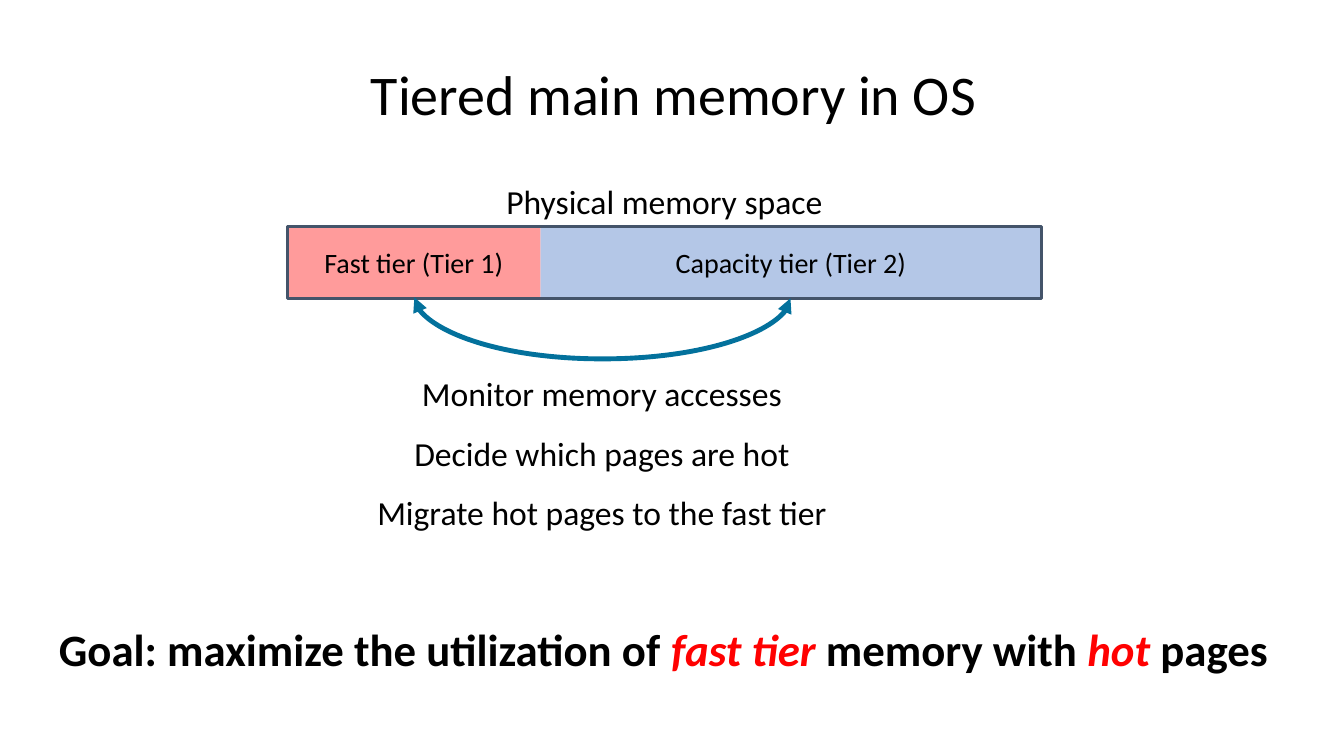
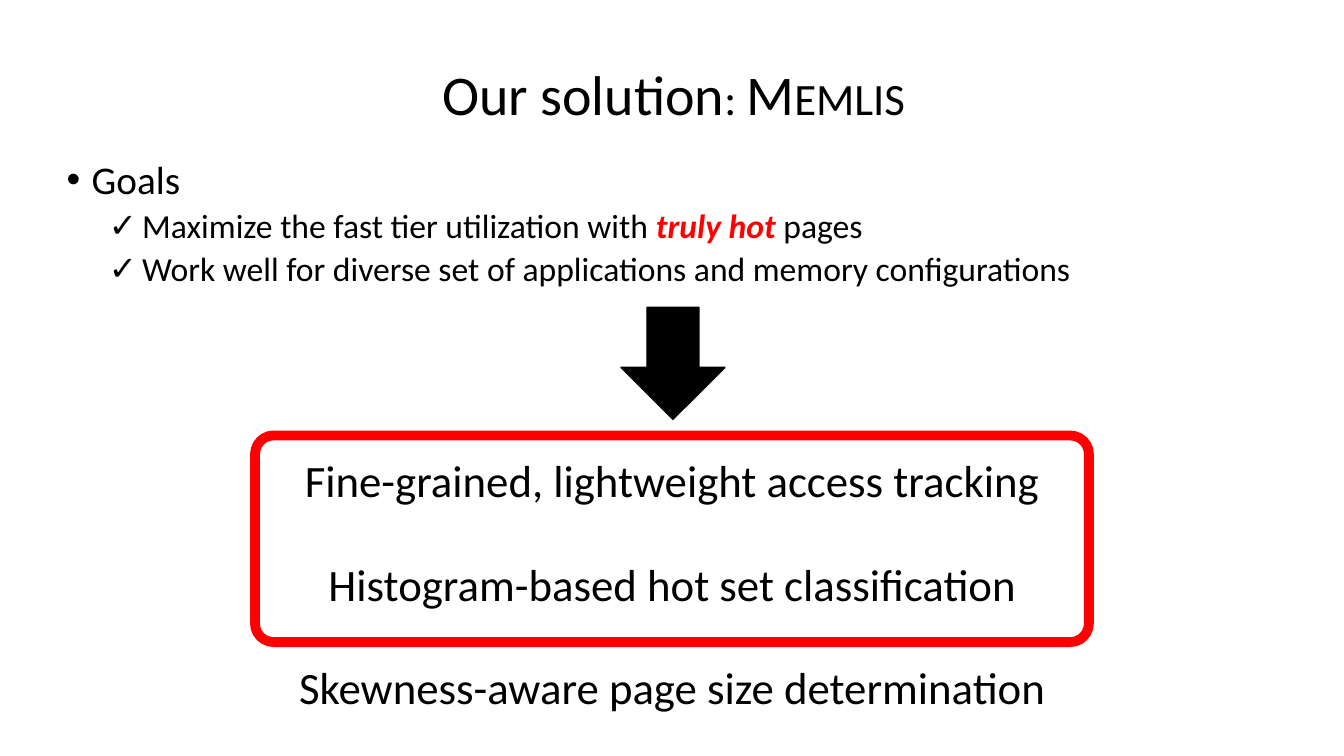
from dataclasses import dataclass

from lxml import etree
from pptx import Presentation
from pptx.dml.color import RGBColor
from pptx.enum.shapes import MSO_CONNECTOR, MSO_SHAPE
from pptx.enum.text import MSO_ANCHOR, MSO_AUTO_SIZE, PP_ALIGN
from pptx.oxml.ns import qn
from pptx.util import Inches, Pt

RECT = MSO_SHAPE.RECTANGLE
ROUND_RECT = MSO_SHAPE.ROUNDED_RECTANGLE
DOWN_ARROW = MSO_SHAPE.DOWN_ARROW
CURVE = MSO_CONNECTOR.CURVE
MIDDLE, TOP, BOTTOM = MSO_ANCHOR.MIDDLE, MSO_ANCHOR.TOP, MSO_ANCHOR.BOTTOM
CENTER, LEFT = PP_ALIGN.CENTER, PP_ALIGN.LEFT
NO_AUTOFIT = MSO_AUTO_SIZE.NONE
TITLE_ONLY, TITLE_AND_BODY = 5, 1


@dataclass(frozen=True)
class Theme:
    """Colours, type sizes and shared frames of the deck."""

    font: str = "Calibri"
    ink: str = "000000"
    accent: str = "FF0101"
    frame: str = "FF0000"
    fast: str = "FF9B9B"
    capacity: str = "B4C7E7"
    outline: str = "44546A"
    migration: str = "03719C"
    title: int = 40
    headline: int = 32
    goals: int = 28
    body: int = 24
    label: int = 20
    line_spacing: float = 0.9
    title_box: tuple = (0.56, 0.4, 12.24, 1.14)
    body_box: tuple = (0.56, 1.54, 12.24, 5.22)


THEME = Theme()
STRONG = {"bold": True}
HOT = {"bold": True, "italic": True, "color": THEME.accent}


def rgb(code):
    """Turn a hex code into a colour."""
    return RGBColor.from_string(code)


def add_run(paragraph, text, size, color=THEME.ink, bold=False, italic=False, small_caps=False):
    """Append one formatted run."""
    run = paragraph.add_run()
    run.text = text
    font = run.font
    font.name, font.size, font.bold, font.italic = THEME.font, Pt(size), bold, italic
    font.color.rgb = rgb(color)
    if small_caps:
        font._element.set("cap", "small")


def add_runs(paragraph, runs, size):
    """Append (text, options) runs in one size."""
    for text, options in runs:
        add_run(paragraph, text, size, **options)


def place(shape, box):
    """Move and size a shape by a box in inches."""
    shape.left, shape.top, shape.width, shape.height = map(Inches, box)


def set_title(slide, runs):
    """Fill the title placeholder in the shared style."""
    title = slide.shapes.title
    place(title, THEME.title_box)
    frame = title.text_frame
    frame.auto_size, frame.vertical_anchor = NO_AUTOFIT, MIDDLE
    paragraph = frame.paragraphs[0]
    paragraph.alignment, paragraph.line_spacing = CENTER, THEME.line_spacing
    add_runs(paragraph, runs, THEME.title)


def add_text(slide, box, runs, size, anchor=MIDDLE):
    """Add one line of centred text."""
    frame = slide.shapes.add_textbox(*map(Inches, box)).text_frame
    frame.word_wrap, frame.vertical_anchor = True, anchor
    paragraph = frame.paragraphs[0]
    paragraph.alignment = CENTER
    add_runs(paragraph, runs, size)


def add_block(slide, kind, box, fill=None, line=None, weight=1, text=None):
    """Add a preset shape with optional fill, outline and label."""
    block = slide.shapes.add_shape(kind, *map(Inches, box))
    block.shadow.inherit = False
    if fill:
        block.fill.solid()
        block.fill.fore_color.rgb = rgb(fill)
    else:
        block.fill.background()
    if line:
        block.line.color.rgb = rgb(line)
        block.line.width = Pt(weight)
    else:
        block.line.fill.background()
    if text:
        frame = block.text_frame
        frame.vertical_anchor = MIDDLE
        frame.paragraphs[0].alignment = CENTER
        add_run(frame.paragraphs[0], text, THEME.label)
    return block


def add_arc(slide, left, right, top, depth, color, weight):
    """Add a two-headed curve that hangs below two points."""
    rise = 0.01
    span = right - left
    x, y = (left + right - rise) / 2, top + (rise - span) / 2
    arc = slide.shapes.add_connector(CURVE, *map(Inches, (x, y, x + rise, y + span)))
    arc.line.color.rgb = rgb(color)
    arc.line.width = Pt(weight)
    properties = arc._element.spPr
    transform = properties.find(qn("a:xfrm"))
    transform.set("rot", "16200000")
    transform.set("flipH", "1")
    adjustments = properties.find(qn("a:prstGeom")).get_or_add_avLst()
    etree.SubElement(adjustments, qn("a:gd"), name="adj1", fmla=f"val {round(depth / rise * 100000)}")
    outline = properties.find(qn("a:ln"))
    for end in ("a:headEnd", "a:tailEnd"):
        etree.SubElement(outline, qn(end), type="triangle")
    etree.SubElement(properties, qn("a:effectLst"))


def add_bullet(paragraph, bullet, level, margin, indent, space):
    """Format a paragraph as a bulleted list item."""
    paragraph.level, paragraph.alignment = level, LEFT
    paragraph.line_spacing, paragraph.space_before = THEME.line_spacing, Pt(space)
    properties = paragraph._p.get_or_add_pPr()
    properties.set("marL", str(Inches(margin)))
    properties.set("indent", str(Inches(indent)))
    etree.SubElement(properties, qn("a:buFont"), typeface="Arial")
    etree.SubElement(properties, qn("a:buChar"), char=bullet)


def set_goals(slide, heading, goals):
    """Fill the body placeholder with a heading and ticked goals."""
    body = slide.placeholders[1]
    place(body, THEME.body_box)
    frame = body.text_frame
    frame.auto_size, frame.vertical_anchor = NO_AUTOFIT, TOP
    first = frame.paragraphs[0]
    add_bullet(first, "•", 0, 0.25, -0.25, 10)
    add_run(first, heading, THEME.goals)
    for goal in goals:
        paragraph = frame.add_paragraph()
        add_bullet(paragraph, "✓", 1, 0.75, -0.33, 5)
        add_runs(paragraph, goal, THEME.body)


def build_tiers(prs):
    """Build the slide on tiered main memory."""
    slide = prs.slides.add_slide(prs.slide_layouts[TITLE_ONLY])
    set_title(slide, [("Tiered main memory in OS", {})])
    left, top, width, height = 2.85, 2.25, 7.48, 0.71
    fast_width = 2.51
    add_text(slide, (left, 1.73, width, 0.52), [("Physical memory space", {})], THEME.body)
    add_block(slide, RECT, (left + fast_width, top, width - fast_width, height),
              fill=THEME.capacity, text="Capacity tier (Tier 2)")
    add_block(slide, RECT, (left, top, fast_width, height), fill=THEME.fast, text="Fast tier (Tier 1)")
    add_block(slide, RECT, (left, top, width, height), line=THEME.outline, weight=2.25)
    add_arc(slide, 4.11, 7.84, 2.95, 0.62, THEME.migration, 3.5)

    steps = ("Monitor memory accesses", "Decide which pages are hot", "Migrate hot pages to the fast tier")
    for row, step in enumerate(steps):
        add_text(slide, (3.47, 3.75 + 0.59 * row, 5, 0.4), [(step, {})], THEME.body, BOTTOM)

    goal = [("Goal: maximize the utilization of ", STRONG), ("fast tier", HOT),
            (" memory with ", STRONG), ("hot", HOT), (" pages", STRONG)]
    add_text(slide, (0.18, 6.35, 12.8, 0.4), goal, THEME.headline, BOTTOM)


def build_solution(prs):
    """Build the slide on the proposed solution."""
    slide = prs.slides.add_slide(prs.slide_layouts[TITLE_AND_BODY])
    set_title(slide, [("Our solution", {}), (": Memlis", {"small_caps": True})])
    set_goals(slide, "Goals", [
        [("Maximize the fast tier utilization with ", {}), ("truly hot ", HOT), ("pages", {})],
        [("Work well for diverse set of applications and memory configurations", {})],
    ])
    add_block(slide, DOWN_ARROW, (6.16, 3.05, 1.03, 1.11), fill=THEME.ink, line=THEME.ink)

    techniques = ("Fine-grained, lightweight access tracking", "Histogram-based hot set classification",
                  "Skewness-aware page size determination")
    for row, technique in enumerate(techniques):
        add_text(slide, (2.8, 4.32 + 1.03 * row, 7.74, 0.87), [(technique, {})], THEME.headline)
    highlight = add_block(slide, ROUND_RECT, (2.53, 4.32, 8.27, 2.05), line=THEME.frame, weight=7)
    highlight.adjustments[0] = 0.09


def main():
    """Build and save the deck."""
    prs = Presentation()
    prs.slide_width, prs.slide_height = Inches(13.33), Inches(7.5)
    build_tiers(prs)
    build_solution(prs)
    prs.save("out.pptx")


if __name__ == "__main__":
    main()
